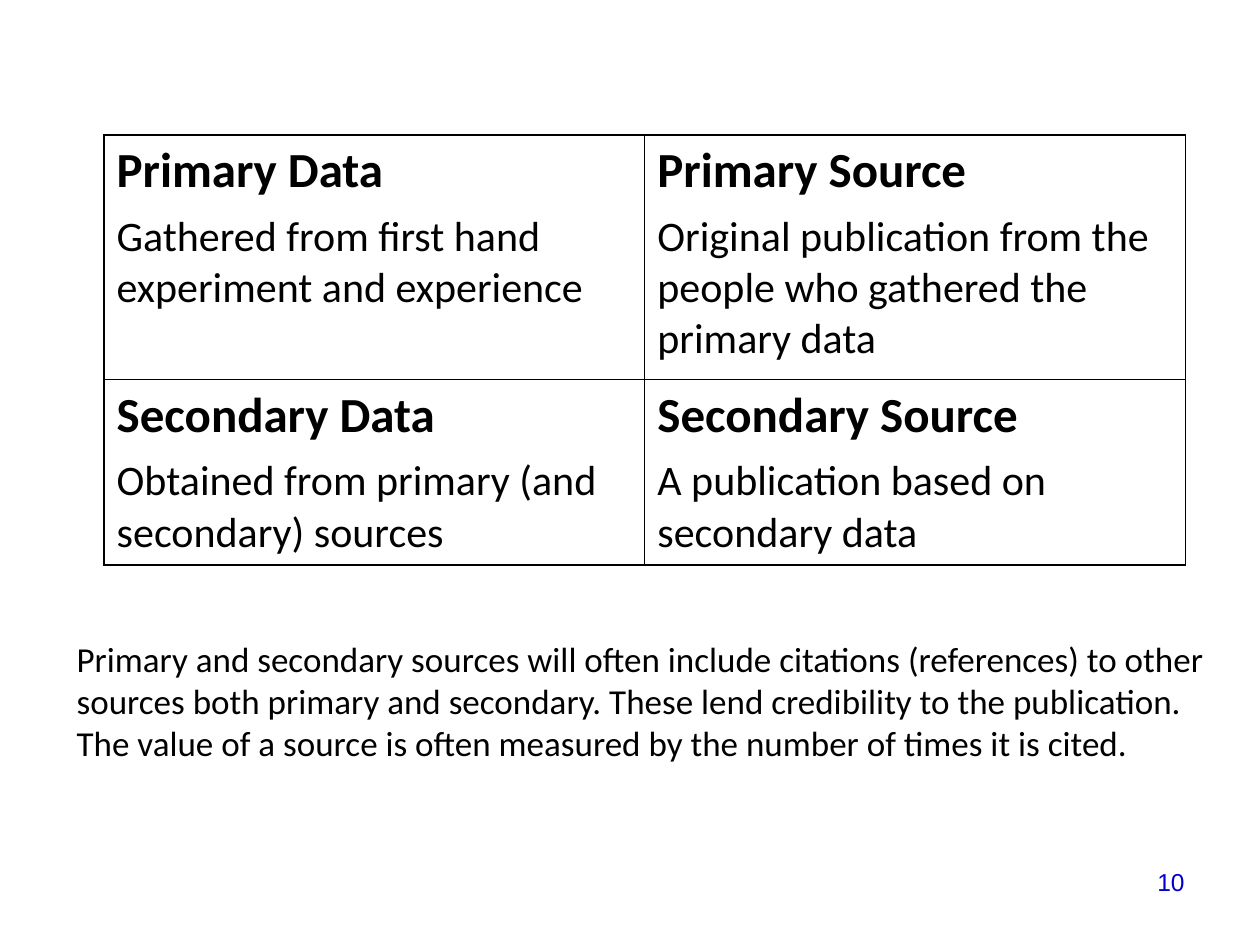
import pptx
import pptx.dml.color
import pptx.enum.text
import pptx.oxml
import pptx.oxml.ns
import pptx.util
from dataclasses import dataclass

Pt = pptx.util.Pt


@dataclass(frozen=True)
class Theme:
    body_font: str = "Calibri"
    number_font: str = "Arial"
    ink: str = "000000"
    number_ink: str = "0000CC"
    heading_size: int = 28
    cell_size: int = 24
    note_size: int = 20
    number_size: int = 14
    outer_line: float = 1.08
    inner_line: float = 0.45


class SlideBuilder:
    def __init__(self, page, theme):
        self.page = page
        self.theme = theme

    def format_para(self, para, font, size, color, bold=False):
        for span in para.runs:
            span.font.name = font
            span.font.size = Pt(size)
            span.font.bold = bold
            span.font.color.rgb = pptx.dml.color.RGBColor.from_string(color)

    def add_text(self, text, left, top, width, height, font, size, color, align):
        box = self.page.shapes.add_textbox(Pt(left), Pt(top), Pt(width), Pt(height))
        box.text_frame.word_wrap = True
        box.text_frame.text = text
        para = box.text_frame.paragraphs[0]
        para.alignment = align
        self.format_para(para, font, size, color)

    def add_border(self, cell, side, width):
        # Borders must come before the cell fill in the XML
        line = pptx.oxml.parse_xml(
            f'<a:{side} {pptx.oxml.ns.nsdecls("a")} w="{int(Pt(width))}">'
            f'<a:solidFill><a:srgbClr val="{self.theme.ink}"/></a:solidFill>'
            f'</a:{side}>')
        cell._tc.get_or_add_tcPr().append(line)

    def fill_cell(self, cell, heading, detail):
        theme = self.theme
        cell.text_frame.text = heading
        title = cell.text_frame.paragraphs[0]
        self.format_para(title, theme.body_font, theme.heading_size, theme.ink, True)
        para = cell.text_frame.add_paragraph()
        para.text = detail
        para.space_before = Pt(6)
        self.format_para(para, theme.body_font, theme.cell_size, theme.ink)

    def add_table(self, rows, left, top, width, heights):
        theme = self.theme
        row_count, col_count = len(rows), len(rows[0])
        frame = self.page.shapes.add_table(
            row_count, col_count, Pt(left), Pt(top), Pt(width), Pt(sum(heights)))
        table = frame.table
        table.first_row = False
        table.horz_banding = False
        for r, row in enumerate(rows):
            table.rows[r].height = Pt(heights[r])
            for c, (heading, detail) in enumerate(row):
                cell = table.cell(r, c)
                self.fill_cell(cell, heading, detail)
                on_edge = {"lnL": c == 0, "lnR": c == col_count - 1,
                           "lnT": r == 0, "lnB": r == row_count - 1}
                for side, outer in on_edge.items():
                    self.add_border(cell, side, theme.outer_line if outer else theme.inner_line)
                cell.fill.background()


def main():
    deck = pptx.Presentation()
    deck.slide_width, deck.slide_height = Pt(720), Pt(540)
    theme = Theme()
    builder = SlideBuilder(deck.slides.add_slide(deck.slide_layouts[6]), theme)
    align = pptx.enum.text.PP_ALIGN

    # Comparison of data and sources
    builder.add_table(
        [
            [("Primary Data", "Gathered from first hand experiment and experience"),
             ("Primary Source",
              "Original publication from the people who gathered the primary data")],
            [("Secondary Data", "Obtained from primary (and secondary) sources"),
             ("Secondary Source", "A publication based on secondary data")],
        ],
        left=59.5, top=77, width=618, heights=[139.7, 104.3])

    # Note on citations
    builder.add_text(
        "Primary and secondary sources will often include citations (references) to other "
        "sources both primary and secondary. These lend credibility to the publication. "
        "The value of a source is often measured by the number of times it is cited.",
        36.7, 361, 663, 79, theme.body_font, theme.note_size, theme.ink, align.LEFT)

    # Page number
    builder.add_text("10", 516, 492, 168, 37.5, theme.number_font,
                     theme.number_size, theme.number_ink, align.RIGHT)

    deck.save("out.pptx")


if __name__ == "__main__":
    main()
